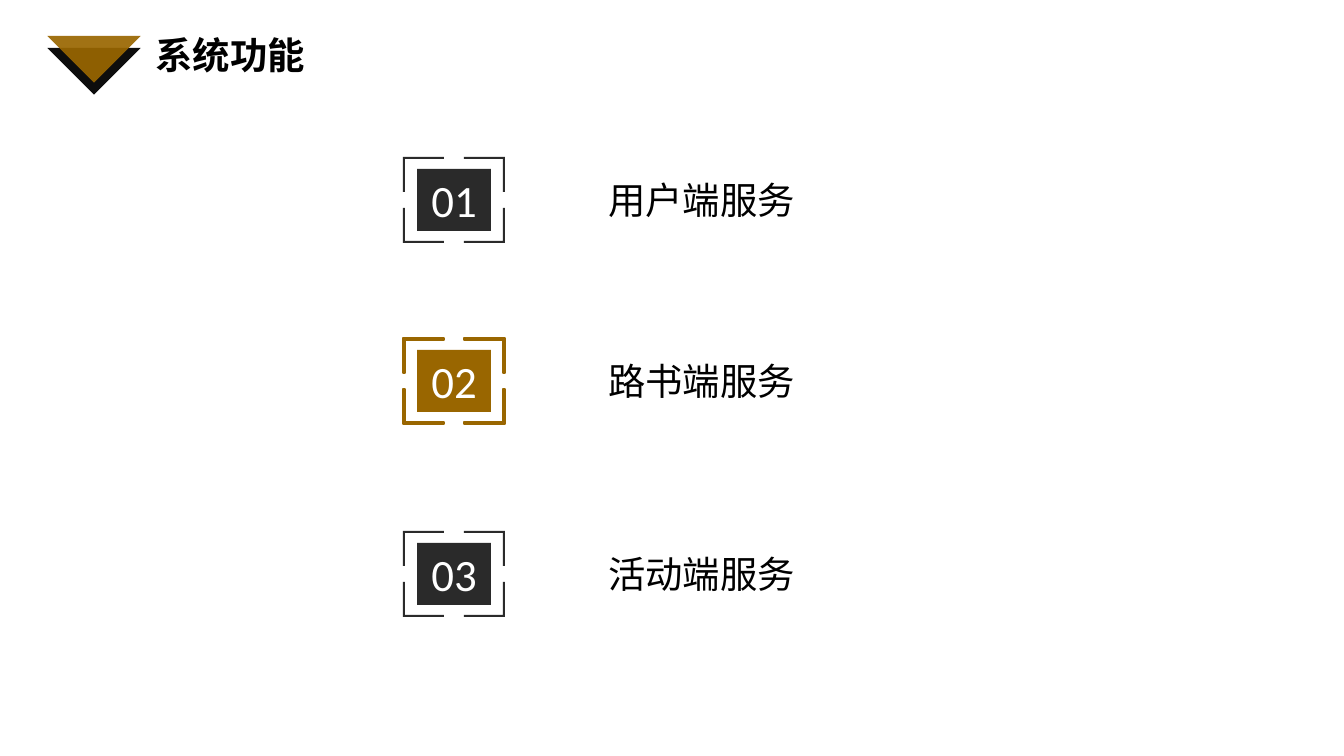
from lxml.etree import SubElement
from pptx import Presentation
from pptx.dml.color import RGBColor
from pptx.enum.shapes import MSO_SHAPE as Shape
from pptx.enum.text import MSO_ANCHOR as Anchor, MSO_AUTO_SIZE as AutoSize, PP_ALIGN as Align
from pptx.oxml.ns import qn
from pptx.util import Emu, Pt

EMU_PER_PX = 914400 / 134.4
DARK, GOLD, BLACK, WHITE = "2A2A2A", "996600", "000000", "FFFFFF"
CJK_FONT = "Noto Sans CJK SC"

# number, label, top of the frame, frame fill, box fill, frame outline
SERVICES = [
    ("01", "用户端服务", 157, DARK, DARK, None),
    ("02", "路书端服务", 338, "9C5932", GOLD, GOLD),
    ("03", "活动端服务", 531, DARK, DARK, None),
]


def px(value):
    return Emu(round(value * EMU_PER_PX))


def color(value):
    return RGBColor.from_string(value)


def paint(shape, fill, line=None, alpha=None):
    shape.shadow.inherit = False
    shape.fill.solid()
    shape.fill.fore_color.rgb = color(fill)
    if alpha:
        rgb = shape.fill._xPr.find(qn("a:solidFill"))[0]
        SubElement(rgb, qn("a:alpha"), val=str(alpha * 1000))
    if line:
        shape.line.color.rgb = color(line)
        shape.line.width = Pt(1)
    else:
        shape.line.fill.background()


def write(shape, text, size=20, font="Calibri", fill=BLACK, bold=False,
          align=Align.LEFT, anchor=Anchor.TOP, wrap=True):
    frame = shape.text_frame
    frame.word_wrap = wrap
    frame.vertical_anchor = anchor
    paragraph = frame.paragraphs[0]
    paragraph.alignment = align
    run = paragraph.add_run()
    run.text = text
    run.font.size = Pt(size)
    run.font.bold = bold
    run.font.color.rgb = color(fill)
    run.font.name = font
    SubElement(run.font._element, qn("a:ea"), typeface=CJK_FONT)


def add_text(slide, left, top, width, height, text, **style):
    box = slide.shapes.add_textbox(px(left), px(top), px(width), px(height))
    write(box, text, **style)
    box.text_frame.auto_size = AutoSize.SHAPE_TO_FIT_TEXT


def add_outline(shapes, contours):
    """Build one freeform from closed contours given in px."""
    builder = shapes.build_freeform(*contours[0][0], scale=EMU_PER_PX)
    for index, contour in enumerate(contours):
        if index:
            builder.move_to(*contour[0])
        builder.add_line_segments(contour[1:], close=True)
    return builder.convert_to_shape()


def add_triangle(slide, left, top, fill, alpha=None):
    """Half a square, turned so that its corner points down."""
    side = 66
    right, bottom = left + side, top + side
    triangle = add_outline(
        slide.shapes, [[(right, top), (right, bottom), (left, bottom)]])
    triangle.rotation = 45
    paint(triangle, fill, alpha=alpha)


def corner(x, y, across, down):
    """L-shaped contour; across and down are 1 or -1, pointing inwards."""
    arm_x, arm_y, thick = 41, 35, 2
    offsets = [(0, 0), (arm_x, 0), (arm_x, thick), (thick, thick),
               (thick, arm_y), (0, arm_y)]
    return [(x + across * dx, y + down * dy) for dx, dy in offsets]


def add_badge(slide, top, number, frame_fill, box_fill, line):
    left, width, height = 403, 102, 86
    right, bottom = left + width, top + height
    group = slide.shapes.add_group_shape()
    frame = add_outline(group.shapes, [
        corner(right, bottom, -1, -1), corner(left, bottom, 1, -1),
        corner(right, top, -1, 1), corner(left, top, 1, 1)])
    paint(frame, frame_fill, line)
    box = group.shapes.add_shape(
        Shape.RECTANGLE, px(left + 14), px(top + 12), px(74), px(62))
    paint(box, box_fill)
    write(box, number, size=24, fill=WHITE, align=Align.CENTER,
          anchor=Anchor.MIDDLE, wrap=False)


def main():
    presentation = Presentation()
    presentation.slide_width, presentation.slide_height = px(1344), px(756)
    slide = presentation.slides.add_slide(presentation.slide_layouts[6])

    add_triangle(slide, 61, 15, "0D0D0D")
    add_text(slide, 142, 26, 177, 59, "系统功能", font=CJK_FONT, bold=True, wrap=False)
    add_triangle(slide, 61, 3, GOLD, alpha=92)

    for number, label, top, frame_fill, box_fill, line in SERVICES:
        add_badge(slide, top, number, frame_fill, box_fill, line)
        add_text(slide, 595, top + 14, 265, 59, label)

    presentation.save("out.pptx")


if __name__ == "__main__":
    main()
